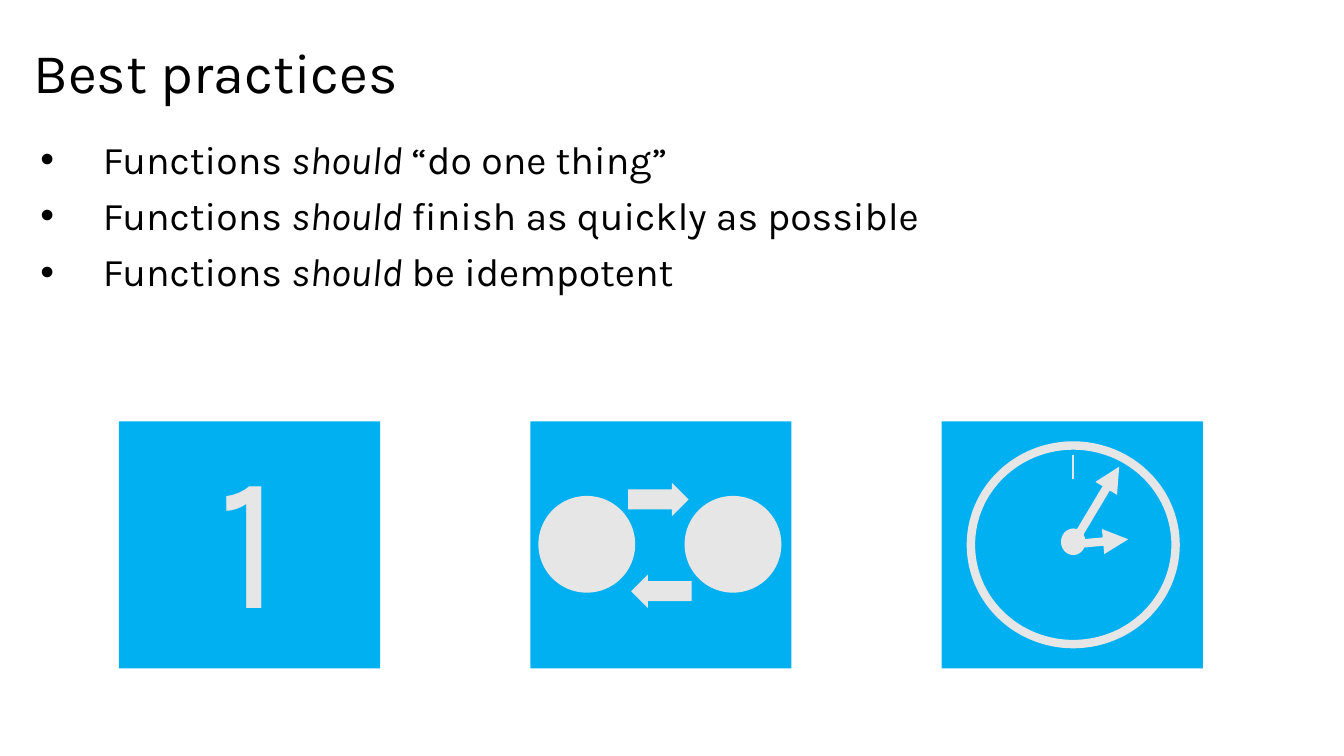
from dataclasses import dataclass
from typing import Optional

from lxml import etree
from pptx import Presentation
from pptx import util as u
from pptx.dml.color import RGBColor
from pptx.enum import shapes, text
from pptx.oxml import ns

PX = 9144  # EMU per px, 100 px to the inch
FONT = "Karla"
COLORS = {"ink": "000000", "tile": "00B0F0", "icon": "E7E6E6"}
KIND = shapes.MSO_SHAPE


@dataclass
class Figure:
    kind: shapes.MSO_SHAPE
    x: int
    y: int
    w: int
    h: int
    fill: Optional[str] = "icon"
    line: float = 0
    rotation: int = 0


@dataclass
class Stroke:
    x1: int
    y1: int
    x2: int
    y2: int
    width: float
    arrow: bool = False


BULLETS = ["“do one thing”", "finish as quickly as possible", "be idempotent"]

TILE_X, TILE_STEP = 118, 408
TILES = [Figure(KIND.RECTANGLE, TILE_X + i * TILE_STEP, 418, 259, 245, "tile")
         for i in range(3)]

SWAP = [
    Figure(KIND.OVAL, 534, 492, 96, 96),
    Figure(KIND.RIGHT_ARROW, 623, 479, 60, 33),
    Figure(KIND.OVAL, 679, 492, 96, 96),
    Figure(KIND.RIGHT_ARROW, 626, 570, 60, 33, rotation=180),
]

CLOCK_FACE = Figure(KIND.OVAL, 963, 442, 203, 197, fill=None, line=6)
CLOCK_HUB = Figure(KIND.OVAL, 1053, 525, 23, 25, line=1)
CLOCK_STROKES = [
    Stroke(1064, 451, 1064, 475, 1.5),
    Stroke(1064, 540, 1110, 463, 6, arrow=True),
    Stroke(1064, 540, 1119, 535, 6, arrow=True),
]


def rgb(name: str) -> RGBColor:
    return RGBColor.from_string(COLORS[name])


def place(s, x: int, y: int, w: int, h: int) -> None:
    s.left, s.top, s.width, s.height = (v * PX for v in (x, y, w, h))


def add_run(p, words: str, size: int, color: str = "ink",
            italic: bool = False) -> None:
    r = p.add_run()
    r.text = words
    r.font.name, r.font.size, r.font.italic = FONT, u.Pt(size), italic
    r.font.color.rgb = rgb(color)


def add_figure(parent, f: Figure) -> None:
    s = parent.add_shape(f.kind, *(v * PX for v in (f.x, f.y, f.w, f.h)))
    s.shadow.inherit = False
    s.rotation = f.rotation
    if f.kind == KIND.RIGHT_ARROW:
        s.adjustments[0], s.adjustments[1] = 0.6, 0.5
    if f.fill:
        s.fill.solid()
        s.fill.fore_color.rgb = rgb(f.fill)
    else:
        s.fill.background()
    if f.line:
        s.line.color.rgb = rgb("icon")
        s.line.width = u.Pt(f.line)
    else:
        s.line.fill.background()


def add_stroke(parent, k: Stroke) -> None:
    s = parent.add_connector(shapes.MSO_CONNECTOR.STRAIGHT,
                             *(v * PX for v in (k.x1, k.y1, k.x2, k.y2)))
    s.line.color.rgb = rgb("icon")
    s.line.width = u.Pt(k.width)
    if k.arrow:
        etree.SubElement(s.line._get_or_add_ln(), ns.qn("a:tailEnd"), type="triangle")
    etree.SubElement(s._element.spPr, ns.qn("a:effectLst"))


def add_title(s) -> None:
    place(s, 23, 2, 1150, 145)
    tf = s.text_frame
    tf.vertical_anchor = text.MSO_ANCHOR.MIDDLE
    p = tf.paragraphs[0]
    p.alignment = text.PP_ALIGN.LEFT
    p.line_spacing = 0.9
    add_run(p, "Best practices", 40)


def add_bullets(s) -> None:
    place(s, 30, 134, 1274, 224)
    tf = s.text_frame
    tf.auto_size = text.MSO_AUTO_SIZE.NONE
    for i, ending in enumerate(BULLETS):
        p = tf.add_paragraph() if i else tf.paragraphs[0]
        pPr = p._p.get_or_add_pPr()
        pPr.set("marL", str(62 * PX))
        pPr.set("indent", str(-62 * PX))
        etree.SubElement(pPr, ns.qn("a:buFont"), typeface="Arial")
        etree.SubElement(pPr, ns.qn("a:buChar"), char="•")
        p.line_spacing = 0.9
        p.space_before = u.Pt(10 if i else 0)
        add_run(p, "Functions ", 28)
        add_run(p, "should", 28, italic=True)
        add_run(p, " " + ending, 28)


def add_numeral(parent) -> None:
    s = parent.add_textbox(*(v * PX for v in (142, 422, 211, 245)))
    tf = s.text_frame
    tf.word_wrap = True
    tf.auto_size = text.MSO_AUTO_SIZE.SHAPE_TO_FIT_TEXT
    tf.margin_left = tf.margin_right = 20 * PX
    tf.margin_top = tf.margin_bottom = 16 * PX
    p = tf.paragraphs[0]
    p.alignment = text.PP_ALIGN.CENTER
    p.line_spacing = 0.9
    p.space_after = u.Pt(6)
    add_run(p, "1", 138, "icon")


def main() -> None:
    prs = Presentation()
    prs.slide_width, prs.slide_height = 1333 * PX, 750 * PX
    slide = prs.slides.add_slide(prs.slide_layouts[1])

    # Title and list
    add_title(slide.shapes.title)
    add_bullets(slide.placeholders[1])

    # Tiles
    for tile in TILES:
        add_figure(slide.shapes, tile)

    # Icon: one thing
    add_numeral(slide.shapes)

    # Icon: swap between two circles
    swap = slide.shapes.add_group_shape()
    for figure in SWAP:
        add_figure(swap.shapes, figure)

    # Icon: clock
    add_figure(slide.shapes, CLOCK_FACE)
    for stroke in CLOCK_STROKES:
        add_stroke(slide.shapes, stroke)
    add_figure(slide.shapes, CLOCK_HUB)

    prs.save("out.pptx")


if __name__ == "__main__":
    main()
